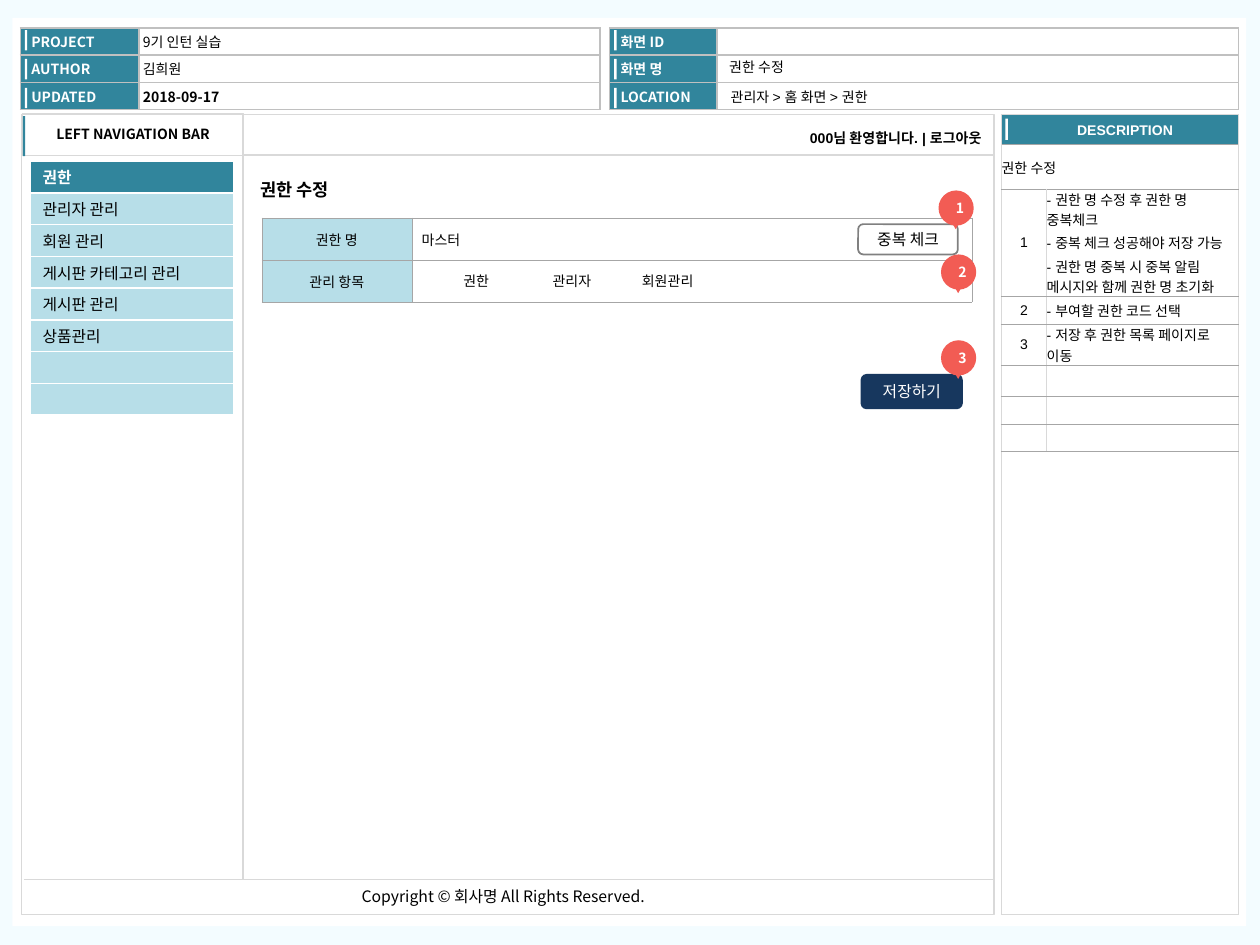
import pptx
import pptx.util
import pptx.dml.color
import pptx.enum.shapes
import pptx.enum.text
import pptx.oxml.ns
from lxml import etree

Cm, Pt = pptx.util.Cm, pptx.util.Pt
RGB = pptx.dml.color.RGBColor
SHAPE = pptx.enum.shapes.MSO_SHAPE
ALIGN = pptx.enum.text.PP_ALIGN
ANCHOR = pptx.enum.text.MSO_ANCHOR
qn = pptx.oxml.ns.qn

PAGE, WHITE, BLACK = RGB(0xF3, 0xFC, 0xFF), RGB(255, 255, 255), RGB(0, 0, 0)
TEAL, SKY = RGB(0x31, 0x85, 0x9C), RGB(0xB7, 0xDE, 0xE8)
NAVY, CORAL = RGB(0x17, 0x37, 0x5E), RGB(0xF2, 0x5C, 0x54)
PALE, SILVER = RGB(0xD9, 0xD9, 0xD9), RGB(0xC0, 0xC0, 0xC0)
GREY, DARK = RGB(0xA6, 0xA6, 0xA6), RGB(0x80, 0x80, 0x80)
NOTO, ARIAL = "Noto Sans CJK KR", "Arial"

TITLE = "권한 수정"
PROJECT = [("PROJECT", "9기 인턴 실습"), ("AUTHOR", "김희원"), ("UPDATED", "2018-09-17")]
SCREEN = [("화면 ID", ""), ("화면 명", ""), ("LOCATION", "")]
NAV = ["권한", "관리자 관리", "회원 관리", "게시판 카테고리 관리", "게시판 관리", "상품관리", "", ""]
FORM = [("권한 명", "마스터"), ("관리 항목", "")]
ITEMS = ["권한", "관리자", "회원관리"]
NOTES = [
    ("권한 수정", ""),
    ("1", "- 권한 명 수정 후 권한 명 중복체크\n- 중복 체크 성공해야 저장 가능\n"
          "- 권한 명 중복 시 중복 알림 메시지와 함께 권한 명 초기화"),
    ("2", "- 부여할 권한 코드 선택"),
    ("3", "- 저장 후 권한 목록 페이지로 이동"),
    ("", ""), ("", ""), ("", ""),
]
NOTE_ROWS = [0.89, 2.16, 0.56, 0.83, 0.62, 0.56, 0.56]
# text, left, top, width, height, font, size, bold, align, insets, wrap
LABELS = [
    ("관리자 > 홈 화면 > 권한", 14.53, 1.68, 7.37, 0.51, ARIAL, 8, False, ALIGN.LEFT, (0.2, 0.1), True),
    ("권한 수정", 14.5, 1.09, 7.37, 0.51, ARIAL, 8, False, ALIGN.LEFT, (0.2, 0.1), True),
    ("000님 환영합니다. | 로그아웃", 13.44, 2.51, 6.55, 0.56, ARIAL, 8, True, ALIGN.RIGHT, (0.2, 0.1), True),
    ("Copyright © 회사명 All Rights Reserved.", 7.04, 17.75, 6.4, 0.64, NOTO, 9, False, ALIGN.LEFT,
     (0.25, 0.13), False),
]
MARKERS = [("1", 18.92, 3.84), ("2", 18.97, 5.13), ("3", 18.97, 6.86)]


def style(tf, size, font=NOTO, color=BLACK, bold=False, align=ALIGN.LEFT, before=0):
    for p in tf.paragraphs:
        p.alignment = align
        p.space_before = Pt(before)
        for r in p.runs:
            f = r.font
            f.name, f.size, f.bold, f.color.rgb = font, Pt(size), bold, color
            etree.SubElement(r.font._element, qn("a:ea"), typeface=NOTO)
        if not p.runs:
            etree.SubElement(p._p, qn("a:endParaRPr"), sz=str(size * 100))


def insets(box, left, top, right=None):
    box.margin_left, box.margin_right = Cm(left), Cm(left if right is None else right)
    box.margin_top = box.margin_bottom = Cm(top)


def add_shape(shapes, kind, x, y, w, h, fill=None, line=None, width=0.75):
    sp = shapes.add_shape(kind, Cm(x), Cm(y), Cm(w), Cm(h))
    sp.shadow.inherit = False
    if fill is None:
        sp.fill.background()
    else:
        sp.fill.solid()
        sp.fill.fore_color.rgb = fill
    if line is None:
        sp.line.fill.background()
    else:
        sp.line.color.rgb, sp.line.width = line, Pt(width)
    return sp


def label_shape(sp, text, size, **fmt):
    sp.text_frame.text = text
    sp.text_frame.vertical_anchor = ANCHOR.MIDDLE
    insets(sp.text_frame, 0, 0)
    style(sp.text_frame, size, align=ALIGN.CENTER, **fmt)


def add_line(s, x1, y1, x2, y2, width):
    c = s.shapes.add_connector(pptx.enum.shapes.MSO_CONNECTOR.STRAIGHT, Cm(x1), Cm(y1), Cm(x2), Cm(y2))
    c.line.color.rgb, c.line.width = PALE, Pt(width)
    etree.SubElement(c._element.spPr, qn("a:effectLst"))


def add_table(s, x, y, cols, rows):
    tbl = s.shapes.add_table(len(rows), len(cols), Cm(x), Cm(y), Cm(sum(cols)), Cm(sum(rows))).table
    tbl.first_row = tbl.horz_banding = False
    for col, w in zip(tbl.columns, cols):
        col.width = Cm(w)
    for row, h in zip(tbl.rows, rows):
        row.height = Cm(h)
    return tbl


def fill_cell(cell, text, size, fill, sides, ends, margin=(0, 0), **fmt):
    """sides and ends are (colour, points) of the upright and the level borders."""
    cell.text = text
    cell.vertical_anchor = ANCHOR.MIDDLE
    insets(cell, *margin)
    style(cell.text_frame, size, **fmt)
    if fill is None:
        cell.fill.background()
    else:
        cell.fill.solid()
        cell.fill.fore_color.rgb = fill
    tcPr = cell._tc.get_or_add_tcPr()
    for i, (tag, (color, width)) in enumerate(zip(("lnL", "lnR", "lnT", "lnB"), (sides, sides, ends, ends))):
        ln = etree.Element(qn("a:" + tag), w=str(int(Pt(width))))
        etree.SubElement(etree.SubElement(ln, qn("a:solidFill")), qn("a:srgbClr"), val=str(color))
        tcPr.insert(i, ln)


def add_header(s, x, cols, rows):
    tbl = add_table(s, x, 0.56, cols, [0.55] * len(rows))
    edge = (SILVER, 1)
    for i, (name, value) in enumerate(rows):
        fill_cell(tbl.cell(i, 0), name, 8, TEAL, edge, edge, (0.22, 0, 0.08), color=WHITE, bold=True, before=1.6)
        fill_cell(tbl.cell(i, 1), value, 8, WHITE, edge, edge, (0.08, 0), bold=name == "UPDATED", before=1.6)
        add_shape(s.shapes, SHAPE.RECTANGLE, x + 0.09, 0.61 + 0.58 * i, 0.05, 0.41, WHITE)


def add_description(s):
    x, edge = 20.19, (PALE, 1)
    tbl = add_table(s, x, 2.31, [4.78], [0.64, 15.49])
    fill_cell(tbl.cell(0, 0), "DESCRIPTION", 8, TEAL, edge, edge, (0.2, 0, 0), font=ARIAL, color=WHITE,
              bold=True, align=ALIGN.CENTER, before=1.6)
    fill_cell(tbl.cell(1, 0), "", 8, WHITE, edge, edge)
    add_shape(s.shapes, SHAPE.RECTANGLE, x + 0.08, 2.39, 0.05, 0.43, WHITE)
    tbl = add_table(s, x, 2.92, [0.91, 3.87], NOTE_ROWS)
    for i, row in enumerate(NOTES):
        for j, text in enumerate(row):
            fill_cell(tbl.cell(i, j), text, 8, WHITE, edge, (GREY, 0.5), font=ARIAL, before=1.6,
                      align=ALIGN.CENTER if i and not j else ALIGN.LEFT)
    tbl.cell(0, 0).merge(tbl.cell(0, 1))


def add_nav(s):
    box = add_shape(s.shapes, SHAPE.RECTANGLE, 0.46, 2.29, 4.45, 0.84, None, PALE)
    label_shape(box, "LEFT NAVIGATION BAR", 8, bold=True)
    add_shape(s.shapes, SHAPE.RECTANGLE, 0.46, 2.34, 0.05, 0.81, TEAL)
    tbl = add_table(s, 0.61, 3.25, [4.11], [0.64] * len(NAV))
    edge = (WHITE, 1)
    for i, text in enumerate(NAV):
        active = i == 0
        fill_cell(tbl.cell(i, 0), text, 9, TEAL if active else SKY, edge, edge, (0.25, 0),
                  color=WHITE if active else BLACK, bold=active)


def add_form(s):
    tbl = add_table(s, 5.28, 4.39, [3.02, 11.3], [0.85] * len(FORM))
    edge = (GREY, 0.25)
    for i, (name, value) in enumerate(FORM):
        fill_cell(tbl.cell(i, 0), name, 8, SKY, edge, edge, (0.2, 0.1), align=ALIGN.CENTER, before=1.6)
        fill_cell(tbl.cell(i, 1), value, 8, None, edge, edge, (0.2, 0.1), before=1.6)
    check = add_shape(s.shapes, SHAPE.ROUNDED_RECTANGLE, 17.3, 4.52, 2.01, 0.61, WHITE, DARK, 1)
    label_shape(check, "중복 체크", 9)
    save = add_shape(s.shapes, SHAPE.ROUNDED_RECTANGLE, 17.35, 7.54, 2.06, 0.71, NAVY)
    label_shape(save, "저장하기", 9, color=WHITE)


def add_label(s, text, x, y, w, h, font, size, bold, align, margin, wrap):
    tf = s.shapes.add_textbox(Cm(x), Cm(y), Cm(w), Cm(h)).text_frame
    tf.text, tf.word_wrap = text, wrap
    insets(tf, *margin)
    style(tf, size, font, bold=bold, align=align)


def add_marker(s, text, x, y):
    shapes = s.shapes.add_group_shape().shapes
    dot = add_shape(shapes, SHAPE.OVAL, x, y, 0.71, 0.71, CORAL)
    label_shape(dot, text, 8, color=WHITE, bold=True)
    dot.text_frame.margin_left = Cm(0.16)
    add_shape(shapes, SHAPE.ISOSCELES_TRIANGLE, x + 0.23, y + 0.58, 0.23, 0.2, CORAL).rotation = 180


def add_title(s):
    sp = s.shapes.title
    sp.left, sp.top, sp.width, sp.height = Cm(5), Cm(3.48), Cm(2.06), Cm(0.69)
    tf = sp.text_frame
    tf.text, tf.word_wrap = TITLE, False
    tf.auto_size = pptx.enum.text.MSO_AUTO_SIZE.NONE
    tf.vertical_anchor = ANCHOR.TOP
    insets(tf, 0.25, 0.13)
    style(tf, 10, bold=True)


def main():
    prs = pptx.Presentation()
    prs.slide_width, prs.slide_height = Cm(25.4), Cm(19.05)
    s = prs.slides.add_slide(prs.slide_layouts[5])
    s.background.fill.solid()
    s.background.fill.fore_color.rgb = PAGE
    canvas = add_shape(s.shapes, SHAPE.RECTANGLE, 0.25, 0.36, 24.87, 18.31, WHITE)
    s.shapes.title._element.addprevious(canvas._element)
    add_title(s)
    add_header(s, 0.41, [2.39, 9.3], PROJECT)
    add_header(s, 12.29, [2.16, 10.52], SCREEN)
    add_shape(s.shapes, SHAPE.RECTANGLE, 0.43, 2.31, 19.61, 16.13, None, PALE)
    add_description(s)
    add_line(s, 0.48, 17.73, 20.04, 17.73, 1)
    add_nav(s)
    add_line(s, 4.9, 2.31, 4.9, 17.73, 0.75)
    add_line(s, 4.9, 3.12, 20.04, 3.12, 1)
    add_form(s)
    for label in LABELS:
        add_label(s, *label)
    for i, text in enumerate(ITEMS):
        add_label(s, text, 9.09 + 1.8 * i, 5.36, 1.09 + 0.28 * i, 0.61, NOTO, 8, False, ALIGN.LEFT,
                  (0.25, 0.13), False)
    for marker in MARKERS:
        add_marker(s, *marker)
    prs.save("out.pptx")


if __name__ == "__main__":
    main()
